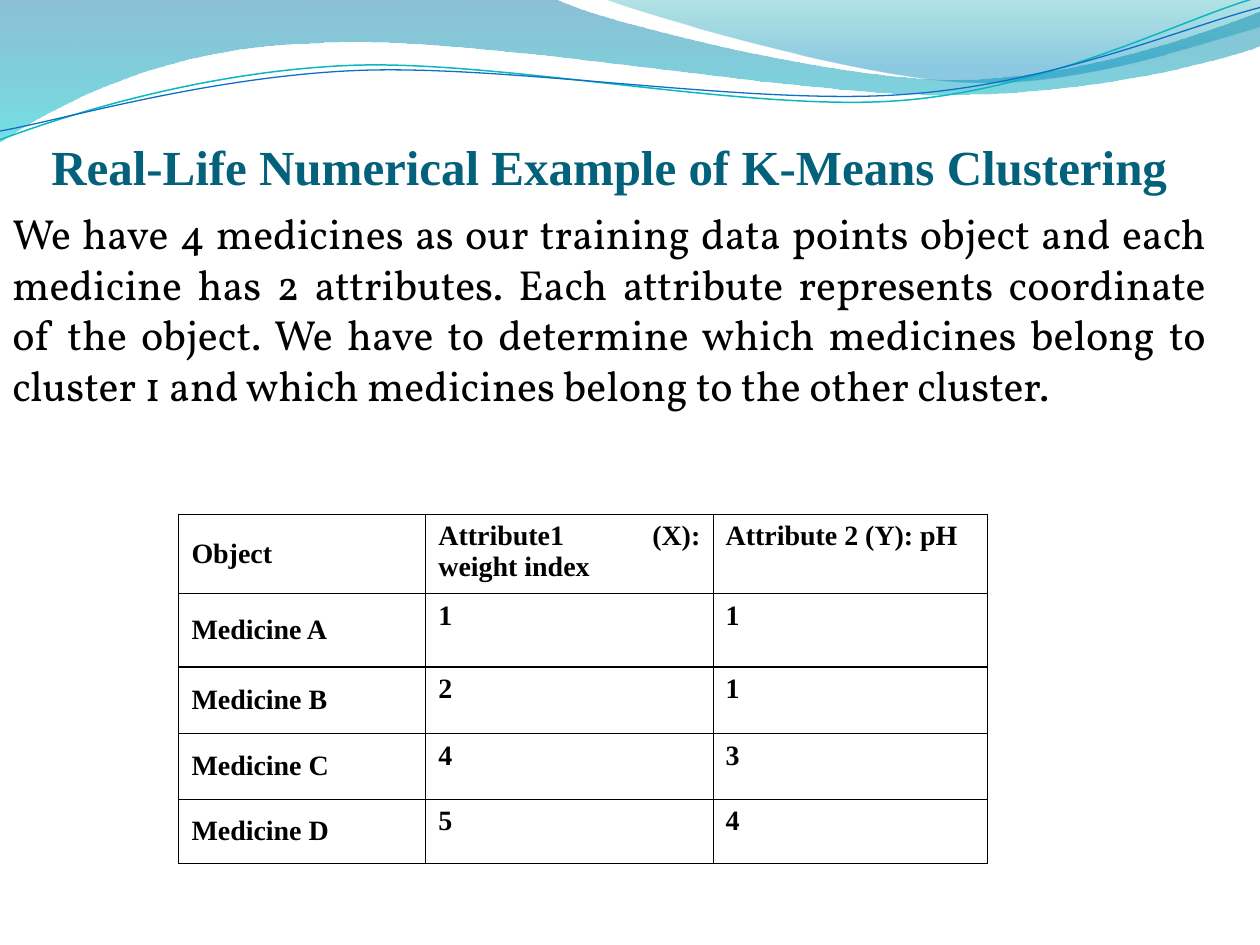
import lxml.etree
import pptx
import pptx.dml.color
import pptx.enum.text
import pptx.oxml.ns
import pptx.util

Inches = pptx.util.Inches
Align = pptx.enum.text.PP_ALIGN
Anchor = pptx.enum.text.MSO_ANCHOR
qn = pptx.oxml.ns.qn

COLORS = {
    "title": "04617B", "text": "000000", "border": "000000",
    "wave_top": "0074A1", "wave_bottom": "00C6CF",
    "crest_top": "00A1A9", "crest_bottom": "008BBF",
    "teal_line": "0AB8BF", "blue_line": "0F6FC6",
}
SERIF = "Times New Roman"

WAVE = [
    (0, 0), (4.4, -0.01),
    (4.76, 0.17, 6.64, 0.63, 7.58, 0.63), (8.53, 0.63, 9.58, 0.26, 10, 0.09),
    (10.01, 0.36),
    (9.83, 0.44, 8.7, 0.76, 7.46, 0.75), (6.22, 0.75, 3.82, 0.28, 2.57, 0.34),
    (1.29, 0.36, 0.46, 0.83, -0.01, 1.13),
]
CREST = [
    (4.79, -0.01), (5.09, 0.11, 6.82, 0.62, 7.69, 0.65),
    (8.56, 0.69, 9.61, 0.32, 10, 0.21), (10, 0),
]
TEAL_CURVE = [
    (0, 1.11), (0.48, 0.93, 1.58, 0.57, 2.77, 0.52),
    (3.95, 0.47, 5.93, 0.89, 7.13, 0.8), (8.33, 0.71, 9.38, 0.15, 9.98, -0.02),
]
BLUE_CURVE = [
    (0, 1.04), (0.47, 0.96, 1.64, 0.61, 2.83, 0.56),
    (4.03, 0.51, 5.97, 0.84, 7.17, 0.75), (8.36, 0.67, 9.41, 0.21, 10, 0.06),
]
MEDICINES = [
    ("Object", "Attribute1 (X): weight index", "Attribute 2 (Y): pH"),
    ("Medicine A", "1", "1"),
    ("Medicine B", "2", "1"),
    ("Medicine C", "4", "3"),
    ("Medicine D", "5", "4"),
]
COLUMN_WIDTHS = [1.96, 2.28, 2.18]
ROW_HEIGHTS = [0.63, 0.58, 0.53, 0.52, 0.51]
EXPLANATION = (
    "We have 4 medicines as our training data points object and each medicine "
    "has 2 attributes. Each attribute represents coordinate of the object. "
    "We have to determine which medicines belong to cluster 1 and which "
    "medicines belong to the other cluster."
)


def rgb(name):
    """Return the named colour."""
    return pptx.dml.color.RGBColor.from_string(COLORS[name])


def add_outline(slide, segments, close):
    """Draw a freeform of straight (2 numbers) and cubic (6 numbers) segments."""
    ends = [(Inches(segment[-2]), Inches(segment[-1])) for segment in segments]
    builder = slide.shapes.build_freeform(*ends[0], scale=1.0)
    builder.add_line_segments(ends[1:], close=close)
    outline = builder.convert_to_shape()
    outline.shadow.inherit = False
    straights = list(outline.element.spPr.iter(qn("a:lnTo")))
    for straight, segment in zip(straights, segments[1:]):
        if len(segment) == 6:
            bend(straight, segment, outline.left, outline.top)
    return outline


def bend(straight, segment, left, top):
    """Replace a straight segment by a cubic one."""
    cubic = lxml.etree.Element(qn("a:cubicBezTo"))
    for x, y in zip(segment[::2], segment[1::2]):
        lxml.etree.SubElement(
            cubic, qn("a:pt"), x=str(Inches(x) - left), y=str(Inches(y) - top))
    straight.getparent().replace(straight, cubic)


def add_band(slide, segments, stops):
    """Draw a translucent band with a vertical gradient."""
    band = add_outline(slide, segments, True)
    band.line.fill.background()
    band.fill.gradient()
    band.fill.gradient_angle = 270
    for stop, (position, color, _) in zip(band.fill.gradient_stops, stops):
        stop.position = position
        stop.color.rgb = rgb(color)
    tints = band.element.spPr.iter(qn("a:srgbClr"))
    for tint, (_, _, opacity) in zip(tints, stops):
        lxml.etree.SubElement(tint, qn("a:alpha"), val=str(opacity * 1000))


def add_curve(slide, segments, color, width):
    """Draw an open curved line."""
    curve = add_outline(slide, segments, False)
    curve.fill.background()
    curve.line.color.rgb = rgb(color)
    curve.line.width = pptx.util.Pt(width)


def write(frame, text, size, font=SERIF, color="text", bold=False, align=Align.JUSTIFY):
    """Put formatted text into a text frame."""
    frame.word_wrap = True
    paragraph = frame.paragraphs[0]
    paragraph.alignment = align
    run = paragraph.add_run()
    run.text = text
    run.font.size = pptx.util.Pt(size)
    run.font.name = font
    run.font.bold = bold
    run.font.color.rgb = rgb(color)


def add_text(slide, place, text, anchor, margins, **style):
    """Add a text box with formatted text."""
    frame = slide.shapes.add_textbox(*map(Inches, place)).text_frame
    frame.vertical_anchor = anchor
    (frame.margin_left, frame.margin_top,
     frame.margin_right, frame.margin_bottom) = map(Inches, margins)
    write(frame, text, **style)


def add_borders(cell):
    """Give a table cell a thin line on every side."""
    properties = cell._tc.get_or_add_tcPr()
    for side in ("a:lnL", "a:lnR", "a:lnT", "a:lnB"):
        line = lxml.etree.SubElement(properties, qn(side), w=str(pptx.util.Pt(0.75)))
        fill = lxml.etree.SubElement(line, qn("a:solidFill"))
        lxml.etree.SubElement(fill, qn("a:srgbClr"), val=COLORS["border"])


def add_medicine_table(slide):
    """Add the table of medicines and their attributes."""
    medicines = slide.shapes.add_table(
        len(ROW_HEIGHTS), len(COLUMN_WIDTHS), Inches(1.42), Inches(4.08),
        Inches(sum(COLUMN_WIDTHS)), Inches(sum(ROW_HEIGHTS))).table
    medicines.first_row = medicines.horz_banding = False
    for column, width in zip(medicines.columns, COLUMN_WIDTHS):
        column.width = Inches(width)
    for row, height, values in zip(medicines.rows, ROW_HEIGHTS, MEDICINES):
        row.height = Inches(height)
        for index, (cell, value) in enumerate(zip(row.cells, values)):
            add_borders(cell)
            cell.fill.background()
            cell.vertical_anchor = Anchor.TOP if index else Anchor.MIDDLE
            write(cell.text_frame, value, size=16, bold=True)


def main():
    """Build the slide and save it."""
    deck = pptx.Presentation()
    deck.slide_width, deck.slide_height = Inches(10), Inches(7.5)
    slide = deck.slides.add_slide(deck.slide_layouts[6])
    add_band(slide, WAVE, [(0, "wave_top", 45), (1, "wave_bottom", 55)])
    add_band(slide, CREST, [(0, "crest_top", 30), (0.8, "crest_bottom", 45)])
    add_curve(slide, TEAL_CURVE, "teal_line", 0.85)
    add_curve(slide, BLUE_CURVE, "blue_line", 0.75)
    add_text(slide, (0, 0.13, 9.67, 1.42),
             "Real-Life Numerical Example of K-Means Clustering",
             Anchor.BOTTOM, (0, 0.05, 0, 0),
             size=28, color="title", bold=True, align=Align.CENTER)
    add_text(slide, (0, 1.58, 9.67, 2.12), EXPLANATION,
             Anchor.TOP, (0.1, 0.07, 0.1, 0.05), size=24, font="Vollkorn")
    add_medicine_table(slide)
    deck.save("out.pptx")


main()
